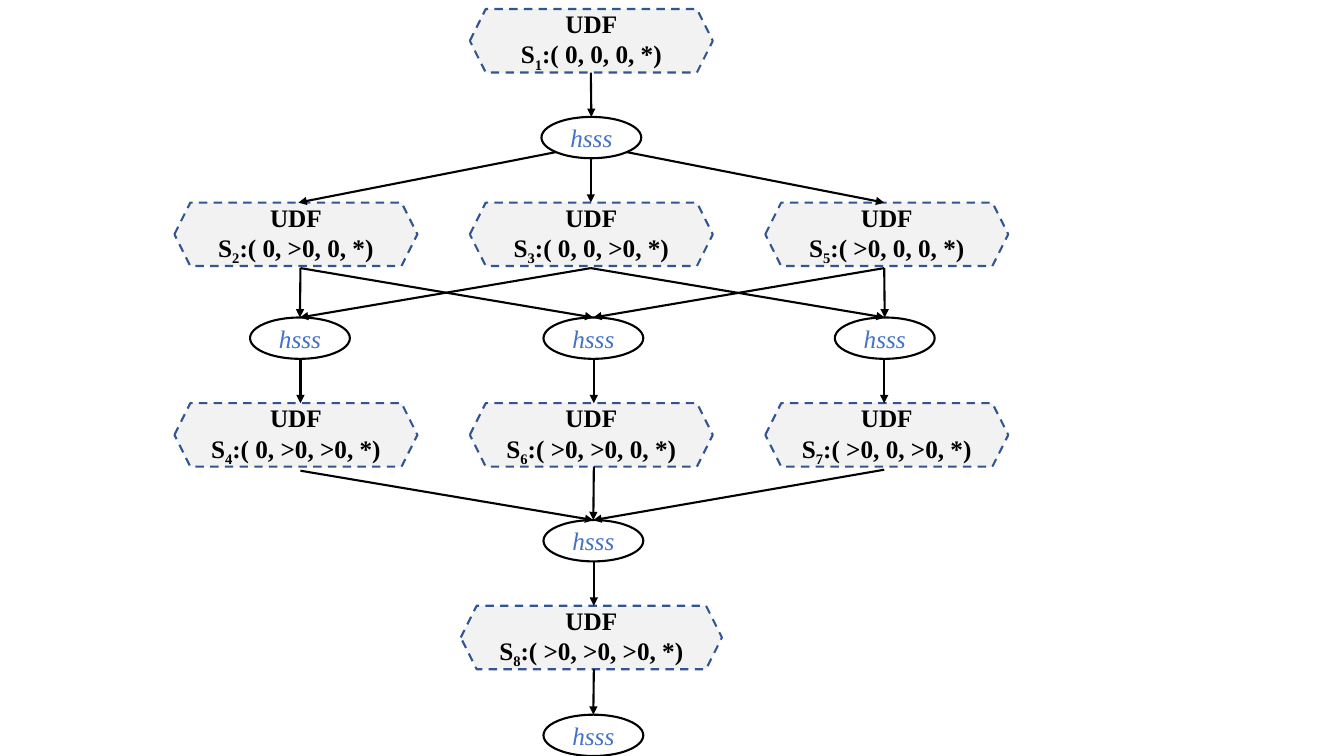
from pptx import Presentation
from pptx.dml.color import RGBColor
from pptx.enum.dml import MSO_LINE
from pptx.enum.shapes import MSO_CONNECTOR, MSO_SHAPE
from pptx.enum.text import MSO_ANCHOR, PP_ALIGN
from pptx.oxml.ns import qn
from pptx.util import Pt
from lxml.etree import SubElement

SCALE = 9144  # EMU per px, 100 px to the inch


def px(num):
    return int(num * SCALE)


def tint(code):
    return RGBColor.from_string(code)


class Chart:
    font = {"name": "Times New Roman", "size": Pt(18)}
    frame = {"margin_left": 0, "margin_right": 0, "margin_top": 0,
             "margin_bottom": 0, "word_wrap": False,
             "vertical_anchor": MSO_ANCHOR.MIDDLE}
    ink, blue, edge, grey = "000000", "4472C4", "325491", "F2F2F2"
    width = Pt(1.5)

    def __init__(self, slide):
        self.slide = slide

    def apply(self, item, style):
        for key, val in style.items():
            setattr(item, key, val)

    def shape(self, kind, box, line):
        node = self.slide.shapes.add_shape(kind, *map(px, box))
        node.shadow.inherit = False
        node.line.color.rgb = tint(line)
        node.line.width = self.width
        self.apply(node.text_frame, self.frame)
        return node

    def label(self, para, parts, color, **style):
        para.alignment = PP_ALIGN.CENTER
        for text, base in parts:
            run = para.add_run()
            run.text = text
            self.apply(run.font, {**self.font, **style})
            run.font.color.rgb = tint(color)
            if base:
                run._r.get_or_add_rPr().set("baseline", str(base))

    def state(self, left, top, num, rule, wide=241):
        node = self.shape(MSO_SHAPE.HEXAGON, (left, top, wide, 63), self.edge)
        node.fill.solid()
        node.fill.fore_color.rgb = tint(self.grey)
        node.line.dash_style = MSO_LINE.DASH
        frame = node.text_frame
        self.label(frame.paragraphs[0], [("UDF", 0)], self.ink, bold=True)
        parts = [("S", 0), (str(num), -25000), (f":( {rule}, *)", 0)]
        self.label(frame.add_paragraph(), parts, self.ink, bold=True)

    def oval(self, left, top):
        node = self.shape(MSO_SHAPE.OVAL, (left, top, 99, 41), self.ink)
        node.fill.background()
        self.label(node.text_frame.paragraphs[0], [("hsss", 0)], self.blue,
                   italic=True)
        return node

    def arrow(self, start, end, goal=None):
        link = self.slide.shapes.add_connector(
            MSO_CONNECTOR.STRAIGHT, *map(px, start + end))
        if goal is not None:
            link.end_connect(goal, 0)
        link.line.color.rgb = tint(self.ink)
        link.line.width = self.width
        props = link._element.spPr
        SubElement(props.get_or_add_ln(), qn("a:tailEnd"), type="triangle")
        SubElement(props, qn("a:effectLst"))


def main():
    deck = Presentation()
    deck.slide_width, deck.slide_height = px(1333), px(750)
    chart = Chart(deck.slides.add_slide(deck.slide_layouts[6]))

    # States: one at the top, two rows of three, one at the foot
    chart.state(466, 9, 1, "0, 0, 0")
    rows = [
        (201, [(2, "0, >0, 0"), (3, "0, 0, >0"), (5, ">0, 0, 0")]),
        (400, [(4, "0, >0, >0"), (6, ">0, >0, 0"), (7, ">0, 0, >0")]),
    ]
    for top, items in rows:
        for col, (num, rule) in enumerate(items):
            chart.state(173 + 293 * col, top, num, rule)
    chart.state(457, 601, 8, ">0, >0, >0", wide=259)

    # Search steps
    first = chart.oval(537, 116)
    trio = [chart.oval(left, 315) for left in (248, 539, 828)]
    join = chart.oval(539, 516)
    last = chart.oval(539, 709)

    # Arrows from the top state to the first row
    chart.arrow((586, 72), (586, 116), first)
    for start, end in [((551, 151), (296, 201)), ((586, 158), (586, 201)),
                       ((622, 151), (877, 201))]:
        chart.arrow(start, end)

    # Arrows between the rows: each state feeds two steps
    axes = (298, 589, 877)
    outs = (298, 586, 877)
    for src, ends in enumerate([(0, 1), (0, 2), (1, 2)]):
        for dest in ends:
            chart.arrow((outs[src], 266), (axes[dest], 315), trio[dest])
    for axis in axes:
        chart.arrow((axis, 356), (axis, 400))

    # Arrows down to the last step
    for axis, top in zip(axes, (467, 463, 466)):
        chart.arrow((axis, top), (589, 516), join)
    chart.arrow((589, 557), (589, 601))
    chart.arrow((589, 664), (589, 709), last)

    deck.save("out.pptx")


if __name__ == "__main__":
    main()
